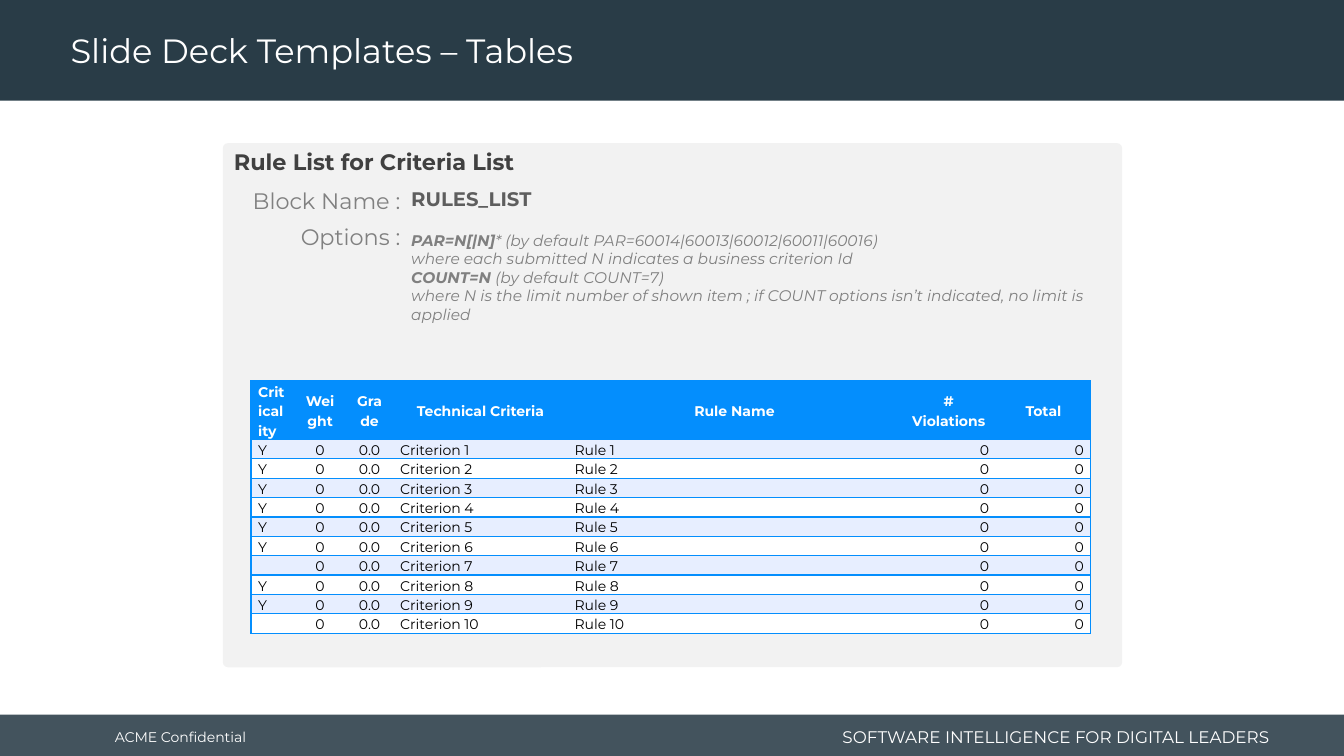
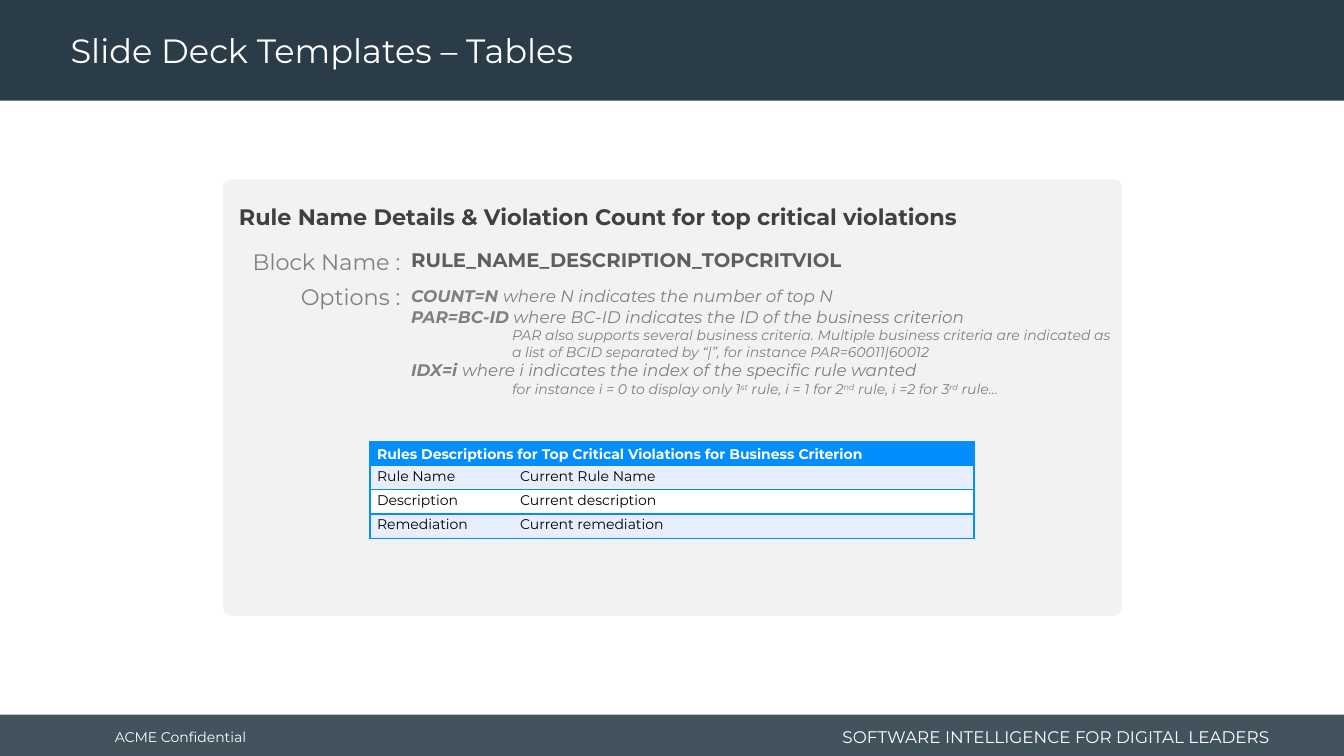
import lxml.etree
import pptx
import pptx.dml.color
import pptx.enum.shapes
import pptx.enum.text
import pptx.oxml.ns
import pptx.util

Inches = pptx.util.Inches
Pt = pptx.util.Pt
RGBColor = pptx.dml.color.RGBColor
qn = pptx.oxml.ns.qn
SHAPE = pptx.enum.shapes.MSO_SHAPE
MIDDLE = pptx.enum.text.MSO_ANCHOR.MIDDLE
TOP = pptx.enum.text.MSO_ANCHOR.TOP
LEFT = pptx.enum.text.PP_ALIGN.LEFT
CENTER = pptx.enum.text.PP_ALIGN.CENTER
RIGHT = pptx.enum.text.PP_ALIGN.RIGHT

NAVY = RGBColor(0x29, 0x3C, 0x47)
WHITE = RGBColor(0xFF, 0xFF, 0xFF)
BLACK = RGBColor(0x00, 0x00, 0x00)
PANEL_GRAY = RGBColor(0xF2, 0xF2, 0xF2)
HEADING_GRAY = RGBColor(0x40, 0x40, 0x40)
NAME_GRAY = RGBColor(0x5E, 0x5E, 0x5E)
LABEL_GRAY = RGBColor(0x80, 0x80, 0x80)
BLUE = RGBColor(0x04, 0x8E, 0xFD)
PALE_BLUE = RGBColor(0xE7, 0xEE, 0xFF)
FONT = "Montserrat"


def style_paragraph(paragraph, size, color, bold=False, align=LEFT):
    paragraph.alignment = align
    paragraph.font.name = FONT
    paragraph.font.size = Pt(size)
    paragraph.font.color.rgb = color
    paragraph.font.bold = bold


def add_text(slide, box, text, size, color, bold=False, align=LEFT, anchor=TOP, inset=0.1):
    area = slide.shapes.add_textbox(*[Inches(length) for length in box])
    frame = area.text_frame
    frame.word_wrap = True
    frame.vertical_anchor = anchor
    frame.margin_left = frame.margin_right = Inches(inset)
    frame.text = text
    style_paragraph(frame.paragraphs[0], size, color, bold, align)
    return area


violation_columns = ["Criticality", "Weight", "Grade", "Technical Criteria", "Rule Name", "# Violations", "Total"]
not_critical = (7, 10)
rule_rows = [
    ["" if n in not_critical else "Y", "0", "0.0", f"Criterion {n}", f"Rule {n}", "0", "0"]
    for n in range(1, 11)
]

blocks = [
    {
        "panel": (1.42, 5.2, 0.01),
        "heading": (2.12, 1.42, "Rule List for Criteria List"),
        "name": (1.81, "RULES_LIST"),
        "options_top": 2.24,
        "options": [
            (0, 11, [("PAR=N[|N]", "bold"), ("* (by default PAR=60014|60013|60012|60011|60016)", "")]),
            (0, 11, [("where each submitted N indicates a business criterion Id", "")]),
            (0, 11, [("COUNT=N", "bold"), (" (by default COUNT=7)", "")]),
            (0, 11, [("where N is the limit number of shown item ; if COUNT options isn’t indicated, "
                      "no limit is applied", "")]),
        ],
        "table": (2.49, 3.78),
        "widths": [0.43, 0.51, 0.47, 1.73, 3.31, 0.94, 0.94],
        "heights": (0.58, 0.19),
        "rows": [violation_columns] + rule_rows,
        "header_aligns": [LEFT] + [CENTER] * 6,
        "aligns": [LEFT, CENTER, CENTER, LEFT, LEFT, RIGHT, RIGHT],
    },
    {
        "panel": (1.78, 4.33, 0.02),
        "heading": (2.17, 1.97, "Rule Name Details & Violation Count for top critical violations"),
        "name": (2.41, "RULE_NAME_DESCRIPTION_TOPCRITVIOL"),
        "options_top": 2.79,
        "options": [
            (0, 12, [("COUNT=N ", "bold"), ("where N indicates the number of top N", "")]),
            (0, 12, [("PAR=BC-ID", "bold"), (" where BC-ID indicates the ID of the business criterion", "")]),
            (1, 10, [("PAR also supports several business criteria. Multiple business criteria are indicated "
                      "as a list of BCID separated by “|”, for instance PAR=60011|60012", "")]),
            (0, 12, [("IDX=i ", "bold"), ("where i indicates the index of the specific rule wanted", "")]),
            (1, 10, [("for instance i = 0 to display only 1", ""), ("st", "raised"),
                     (" rule, i = 1 for 2", ""), ("nd", "raised"),
                     (" rule, i =2 for 3", ""), ("rd", "raised"), (" rule…", "")]),
        ],
        "table": (3.67, 4.38),
        "widths": [1.42, 4.57],
        "heights": (0.24, 0.24),
        "rows": [
            ["Rules Descriptions for Top Critical Violations for Business Criterion", ""],
            ["Rule Name", "Current Rule Name"],
            ["Description", "Current description"],
            ["Remediation", "Current remediation"],
        ],
        "header_aligns": [LEFT, LEFT],
        "aligns": [LEFT, LEFT],
    },
]

deck = pptx.Presentation()
deck.slide_width = Inches(13.33)
deck.slide_height = Inches(7.5)
layout = deck.slide_layouts[5]
slides = [deck.slides.add_slide(layout) for block in blocks]

shared = []
for top, height, opacity in [(7.09, 0.41, 88), (0, 1, 100)]:
    band = slides[0].shapes.add_shape(SHAPE.RECTANGLE, 0, Inches(top), deck.slide_width, Inches(height))
    band.shadow.inherit = False
    band.fill.solid()
    band.fill.fore_color.rgb = NAVY
    band.line.fill.background()
    color = band.element.spPr.find(qn("a:solidFill"))[0]
    lxml.etree.SubElement(color, qn("a:alpha")).set("val", str(opacity * 1000))
    shared.append(band)
shared.append(add_text(slides[0], (1.04, 7.13, 2, 0.36), "ACME Confidential", 10, WHITE, anchor=MIDDLE))
shared.append(add_text(slides[0], (7.69, 7.13, 5, 0.36), "SOFTWARE INTELLIGENCE FOR DIGITAL LEADERS",
                       12, WHITE, align=RIGHT, anchor=MIDDLE))
for position, part in enumerate(shared, start=2):
    layout.shapes.element.insert(position, part.element)

layout_title = layout.placeholders[0]
layout_title.left, layout_title.top = Inches(0.6), Inches(0.04)
layout_title.width, layout_title.height = Inches(9.58), Inches(0.96)

for slide, block in zip(slides, blocks):
    title = slide.shapes.title.text_frame
    title.text = "Slide Deck Templates – Tables"
    title.vertical_anchor = MIDDLE
    title.paragraphs[0].line_spacing = 0.9
    style_paragraph(title.paragraphs[0], 24, WHITE)

    panel_top, panel_height, corner = block["panel"]
    panel = slide.shapes.add_shape(SHAPE.ROUNDED_RECTANGLE, Inches(2.21), Inches(panel_top),
                                   Inches(8.92), Inches(panel_height))
    panel.adjustments[0] = corner
    panel.shadow.inherit = False
    panel.fill.solid()
    panel.fill.fore_color.rgb = PANEL_GRAY
    panel.line.fill.background()

    heading_left, heading_top, heading = block["heading"]
    add_text(slide, (heading_left, heading_top, 8.91, 0.37), heading, 16, HEADING_GRAY, bold=True, inset=0.2)
    name_top, name = block["name"]
    add_text(slide, (3.98, name_top, 7.25, 0.34), name, 14, NAME_GRAY, bold=True)
    for label, label_top in [("Block Name :", name_top), ("Options :", name_top + 0.35)]:
        add_text(slide, (2.2, label_top, 1.87, 0.37), label, 16, LABEL_GRAY, align=RIGHT)

    options = add_text(slide, (3.98, block["options_top"], 7.25, 1.2), "", 12, LABEL_GRAY).text_frame
    for index, (indent, size, pieces) in enumerate(block["options"]):
        option = options.add_paragraph() if index else options.paragraphs[0]
        style_paragraph(option, size, LABEL_GRAY)
        option.font.italic = True
        if indent:
            option.level = 2
            option._p.get_or_add_pPr().set("marL", str(Inches(indent)))
        for text, mark in pieces:
            piece = option.add_run()
            piece.text = text
            if mark == "bold":
                piece.font.bold = True
            elif mark == "raised":
                piece._r.get_or_add_rPr().set("baseline", "30000")

    rows, widths = block["rows"], block["widths"]
    header_height, row_height = block["heights"]
    table_left, table_top = block["table"]
    rules = slide.shapes.add_table(
        len(rows), len(widths), Inches(table_left), Inches(table_top), Inches(sum(widths)),
        Inches(header_height + row_height * (len(rows) - 1))).table
    rules.first_row = rules.horz_banding = False
    for column, width in zip(rules.columns, widths):
        column.width = Inches(width)
    if len(widths) == 2:
        rules.cell(0, 0).merge(rules.cell(0, 1))

    for r, values in enumerate(rows):
        header = r == 0
        rules.rows[r].height = Inches(header_height if header else row_height)
        aligns = block["header_aligns"] if header else block["aligns"]
        for c, value in enumerate(values):
            cell = rules.cell(r, c)
            cell.margin_left = cell.margin_right = Inches(0.07)
            cell.margin_top = cell.margin_bottom = 0
            cell.vertical_anchor = MIDDLE if header else TOP
            cell.text = value
            entry = cell.text_frame.paragraphs[0]
            entry.line_spacing = 1.15
            style_paragraph(entry, 10, WHITE if header else BLACK, header, aligns[c])
            if not value:
                lxml.etree.SubElement(entry._p, qn("a:endParaRPr")).set("sz", "1000")

            outer_right = c + cell.span_width == len(widths)
            for side, visible in [("L", c == 0), ("R", outer_right), ("T", True), ("B", True)]:
                border = lxml.etree.SubElement(cell._tc.get_or_add_tcPr(), qn(f"a:ln{side}"))
                border.set("w", str(Pt(1)))
                stroke = lxml.etree.SubElement(border, qn("a:solidFill" if visible else "a:noFill"))
                if visible:
                    lxml.etree.SubElement(stroke, qn("a:srgbClr")).set("val", str(BLUE))
            cell.fill.solid()
            cell.fill.fore_color.rgb = BLUE if header else PALE_BLUE if r % 2 else WHITE

deck.save("out.pptx")
